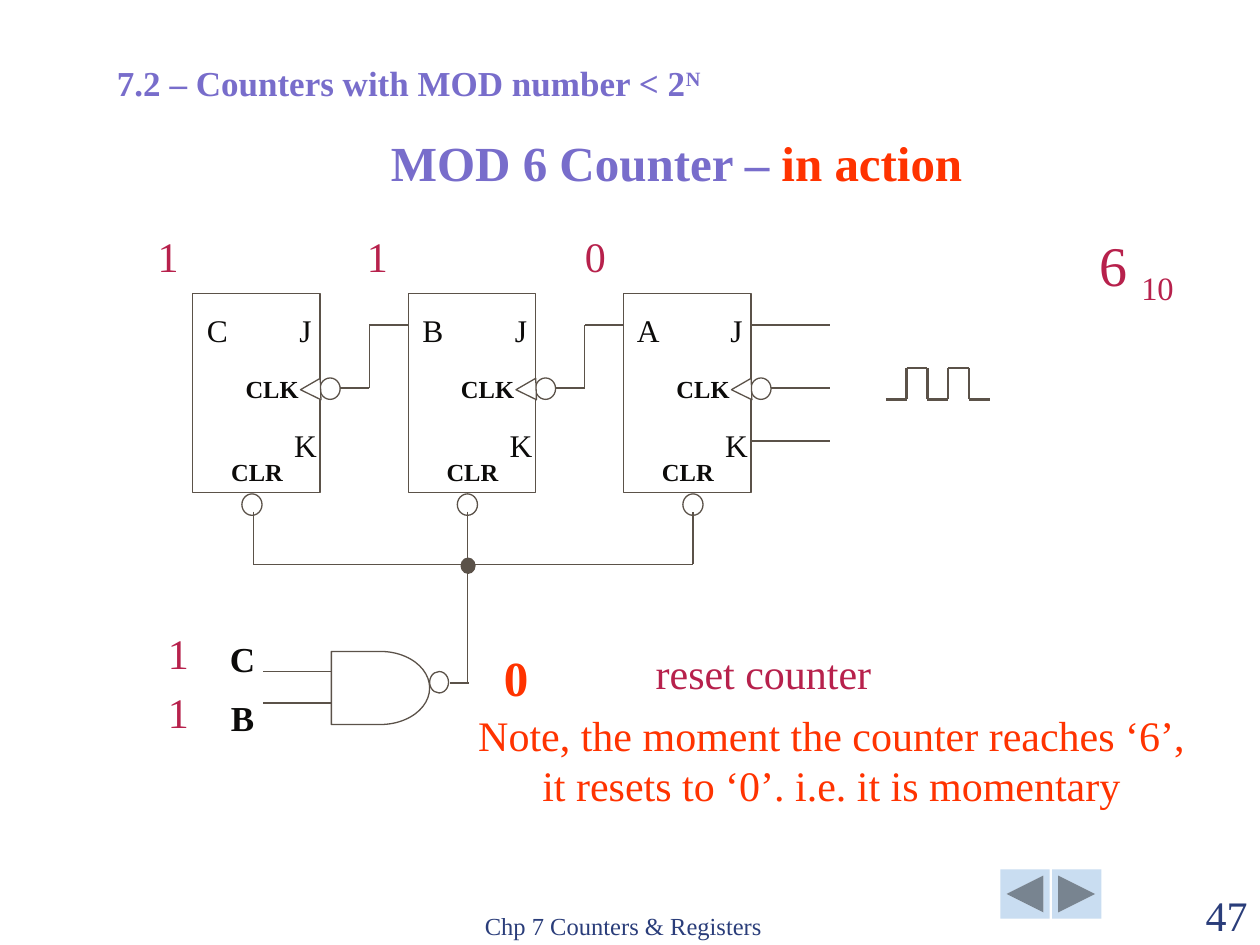
import itertools

import pptx
import pptx.dml.color
import pptx.enum.shapes
import pptx.enum.text
import pptx.oxml
import pptx.oxml.ns
import pptx.util

Inches, Pt = pptx.util.Inches, pptx.util.Pt
MSO_SHAPE = pptx.enum.shapes.MSO_SHAPE
ALIGN = pptx.enum.text.PP_ALIGN
ANCHOR = pptx.enum.text.MSO_ANCHOR

INK, WIRE, WHITE = "0C0B0A", "5B5249", "FFFFFF"
CRIMSON, RED, PURPLE, NAVY = "B7214C", "FF3300", "786DCB", "2A3D7A"

prs = pptx.Presentation()
prs.slide_width, prs.slide_height = Inches(10), Inches(7.5)
s = prs.slides.add_slide(prs.slide_layouts[5])


def color(target, value):
    """Set a solid fill, line or font colour from a hex string."""
    if hasattr(target, "solid"):
        target.solid()
        target = target.fore_color
    else:
        target = target.color
    target.rgb = pptx.dml.color.RGBColor.from_string(value)


def add(kind, x, y, w, h, content=None, size=18, ink=INK, bold=False, align=ALIGN.CENTER):
    """Add a text box, a wire (w, h are its end point) or a preset shape."""
    if kind == "wire":
        sp = s.shapes.add_connector(pptx.enum.shapes.MSO_CONNECTOR.STRAIGHT,
                                    Inches(x), Inches(y), Inches(w), Inches(h))
        sp._element.spPr.append(pptx.oxml.parse_xml(
            "<a:effectLst %s/>" % pptx.oxml.ns.nsdecls("a")))
    elif kind == "text":
        sp = s.shapes.add_textbox(Inches(x), Inches(y), Inches(w), Inches(h))
        sp.text_frame.word_wrap = True
        p = sp.text_frame.paragraphs[0]
        p.alignment = align
        for part in [content] if isinstance(content, str) else content:
            r = p.add_run()
            r.text = part
            r.font.name, r.font.size, r.font.bold = "Times New Roman", Pt(size), bold
            color(r.font, ink)
        return sp
    else:
        sp = s.shapes.add_shape(kind, Inches(x), Inches(y), Inches(w), Inches(h))
        sp.shadow.inherit = False
        color(sp.fill, WHITE)
    color(sp.line, WIRE)
    sp.line.width = Pt(0.75)
    return sp


# Navigation buttons
for kind, x in ((MSO_SHAPE.ACTION_BUTTON_BACK_OR_PREVIOUS, 7.94),
                (MSO_SHAPE.ACTION_BUTTON_FORWARD_OR_NEXT, 8.35)):
    sp = add(kind, x, 6.9, 0.39, 0.39)
    color(sp.fill, "C9DDF1")
    sp.line.fill.background()

# Footer and slide number
for x, w, label, size, align in ((3.75, 3.17, "Chp 7 Counters & Registers", 14, ALIGN.LEFT),
                                 (9, 1, "47", 24, ALIGN.RIGHT)):
    sp = add("text", x, 7.01, w, 0.5, label, size, NAVY, align=align)
    sp.text_frame.vertical_anchor = ANCHOR.BOTTOM

# Title and section heading
title = s.shapes.title
title.left, title.top, title.width, title.height = (Inches(v) for v in (1.12, 1.12, 8.5, 0.45))
tf = title.text_frame
tf.vertical_anchor = ANCHOR.BOTTOM
p = tf.paragraphs[0]
p.alignment = ALIGN.CENTER
for part, ink in (("MOD 6 Counter – ", PURPLE), ("in action", RED)):
    r = p.add_run()
    r.text = part
    r.font.name, r.font.size, r.font.bold = "Times New Roman", Pt(28), True
    color(r.font, ink)

heading = add("text", 0.83, 0.44, 5.59, 0.43, ("7.2 – Counters with MOD number < 2", "N"),
              20, PURPLE, True, ALIGN.LEFT)
heading.text_frame.paragraphs[0].runs[1].font._element.set("baseline", "30000")

# Clock pulses
low, high, step = 3.17, 2.92, 0.165
pulse = [(7.03, low)]
for i in range(1, 5):
    x = 7.03 + i * step
    pulse += [(x, low), (x, high)] if i % 2 else [(x, high), (x, low)]
pulse.append((7.03 + 5 * step, low))
for start, end in itertools.pairwise(pulse):
    add("wire", *start, *end).line.width = Pt(1.5)

# Flip-flops, each with its clear bubble
for i, (name, clear_x) in enumerate((("C", 1.92), ("B", 3.63), ("A", 5.42))):
    x = 1.53 + i * 1.71
    right = x + 1.01
    add(MSO_SHAPE.RECTANGLE, x, 2.33, 1.01, 1.58)
    add(MSO_SHAPE.OVAL, right, 3, 0.16, 0.17)
    add(MSO_SHAPE.ISOSCELES_TRIANGLE, x + 0.85, 3.01, 0.17, 0.16).rotation = 268.1
    add("text", x, 2.42, 0.39, 0.4, name)
    add("text", x + 0.7, 2.42, 0.39, 0.4, "J")
    add("text", x + 0.7, 3.33, 0.39, 0.4, "K")
    add("text", x + 0.24, 2.92, 0.78, 0.33, "CLK", 14, bold=True)
    add("text", x + 0.16, 3.58, 0.7, 0.33, "CLR", 14, bold=True)
    add(MSO_SHAPE.OVAL, clear_x, 3.92, 0.16, 0.17)
    if i:  # output feeds the clock of the flip-flop to the left
        link = [(x, 2.58), (x - 0.31, 2.58), (x - 0.31, 3.08), (x - 0.54, 3.08)]
        for start, end in itertools.pairwise(link):
            add("wire", *start, *end)

# Inputs of flip-flop A
for x, y in ((5.96, 2.58), (6.12, 3.08), (5.96, 3.5)):
    add("wire", x, y, 6.59, y)

# NAND gate
add("wire", 3.71, 4.54, 3.71, 5.42)
add(MSO_SHAPE.FLOWCHART_DELAY, 2.63, 5.17, 0.78, 0.58).fill.background()
add(MSO_SHAPE.OVAL, 3.41, 5.33, 0.15, 0.17)
add("wire", 3.57, 5.42, 3.72, 5.42)
for y, name, label_y, value_y in ((5.33, "C", 5.01, 4.93), (5.58, "B", 5.48, 5.4)):
    add("wire", 2.63, y, 2.09, y)
    add("text", 1.69, label_y, 0.47, 0.43, name, 20, bold=True)
    add("text", 1.22, value_y, 0.39, 0.5, "1", 24, CRIMSON)

# Clear line
for start, end in itertools.pairwise([(2.01, 4.06), (2.01, 4.48), (5.5, 4.48), (5.5, 4.06)]):
    add("wire", *start, *end)
color(add(MSO_SHAPE.OVAL, 3.66, 4.43, 0.11, 0.12).fill, WIRE)
add("wire", 3.71, 4.06, 3.71, 4.46)

# Counter state and remarks
for x, bit in ((1.14, "1"), (2.8, "1"), (4.53, "0")):
    add("text", x, 1.78, 0.39, 0.5, bit, 24, CRIMSON)
add("text", 3.9, 5.09, 0.39, 0.57, "0", 28, RED, True)
add("text", 4.29, 5.09, 3.54, 0.5, "reset counter", 24, CRIMSON)
count = add("text", 8.47, 1.78, 1.1, 0.63, ("6 ", "10"), 32, CRIMSON)
count.text_frame.paragraphs[0].runs[1].font._element.set("baseline", "-25000")
add("text", 3.6, 5.58, 6, 0.9,
    "Note, the moment the counter reaches ‘6’, it resets to ‘0’. i.e. it is momentary", 24, RED)

prs.save("out.pptx")
